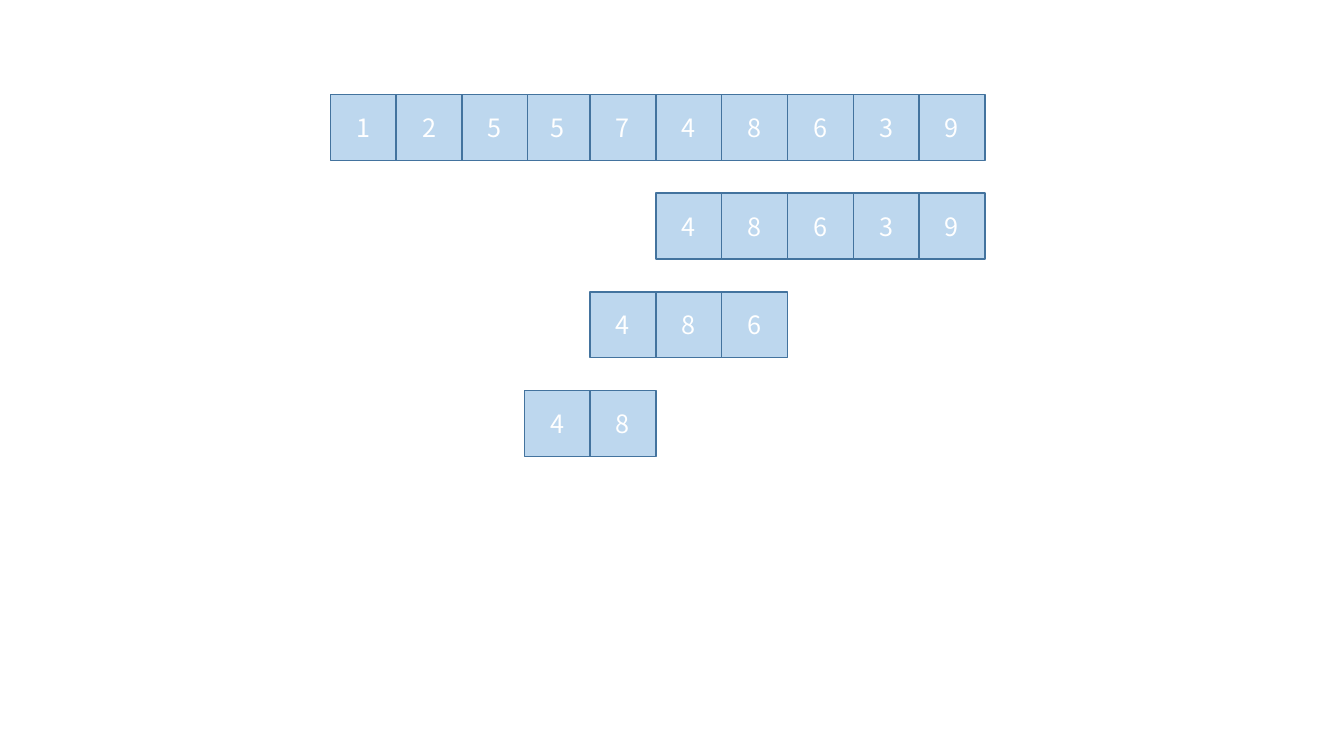
from dataclasses import dataclass

from pptx import Presentation
from pptx.dml.color import RGBColor
from pptx.enum.shapes import MSO_SHAPE as Shape
from pptx.enum.text import MSO_ANCHOR as Anchor, PP_ALIGN as Align
from pptx.slide import Slide
from pptx.util import Emu, Pt

PX = 6350
PAGE_WIDTH, PAGE_HEIGHT = 1920, 1080
CELL = 94
FIRST_TOP = 135
ROW_PITCH = 141
GRID_LEFT = 749
SORTED_LEFT = 472


@dataclass(frozen=True)
class Theme:
    fill: RGBColor = RGBColor(0xBD, 0xD7, 0xEE)
    line: RGBColor = RGBColor(0x43, 0x73, 0x9E)
    text: RGBColor = RGBColor(0xFF, 0xFF, 0xFF)
    font: str = "Noto Sans CJK SC"
    size: Pt = Pt(18)
    line_width: Pt = Pt(1)


@dataclass(frozen=True)
class CellRun:
    digits: str
    left: int
    row: int


THEME = Theme()
RUNS = (
    CellRun("5748639", GRID_LEFT, 0),
    CellRun("125", SORTED_LEFT, 0),
    CellRun("48639", GRID_LEFT + 2 * CELL, 1),
    CellRun("486", GRID_LEFT + CELL, 2),
    CellRun("48", GRID_LEFT, 3),
)


def px(length: int) -> Emu:
    return Emu(length * PX)


def set_all(target: object, values: dict[str, object]) -> None:
    for name, value in values.items():
        setattr(target, name, value)


def draw_cell(page: Slide, digit: str, left: int, top: int) -> None:
    box = page.shapes.add_shape(Shape.RECTANGLE, px(left), px(top), px(CELL), px(CELL))
    box.shadow.inherit = False
    box.fill.solid()
    box.fill.fore_color.rgb = THEME.fill
    box.line.color.rgb = THEME.line
    box.line.width = THEME.line_width
    box.text_frame.vertical_anchor = Anchor.MIDDLE
    para = box.text_frame.paragraphs[0]
    para.alignment = Align.CENTER
    span = para.add_run()
    span.text = digit
    set_all(span.font, {"name": THEME.font, "size": THEME.size})
    span.font.color.rgb = THEME.text


def draw_run(page: Slide, run: CellRun) -> None:
    top = FIRST_TOP + run.row * ROW_PITCH
    for column, digit in enumerate(run.digits):
        draw_cell(page, digit, run.left + column * CELL, top)


def main() -> None:
    deck = Presentation()
    set_all(deck, {"slide_width": px(PAGE_WIDTH), "slide_height": px(PAGE_HEIGHT)})
    page = deck.slides.add_slide(deck.slide_layouts[6])
    for run in RUNS:
        draw_run(page, run)
    deck.save("out.pptx")


if __name__ == "__main__":
    main()
